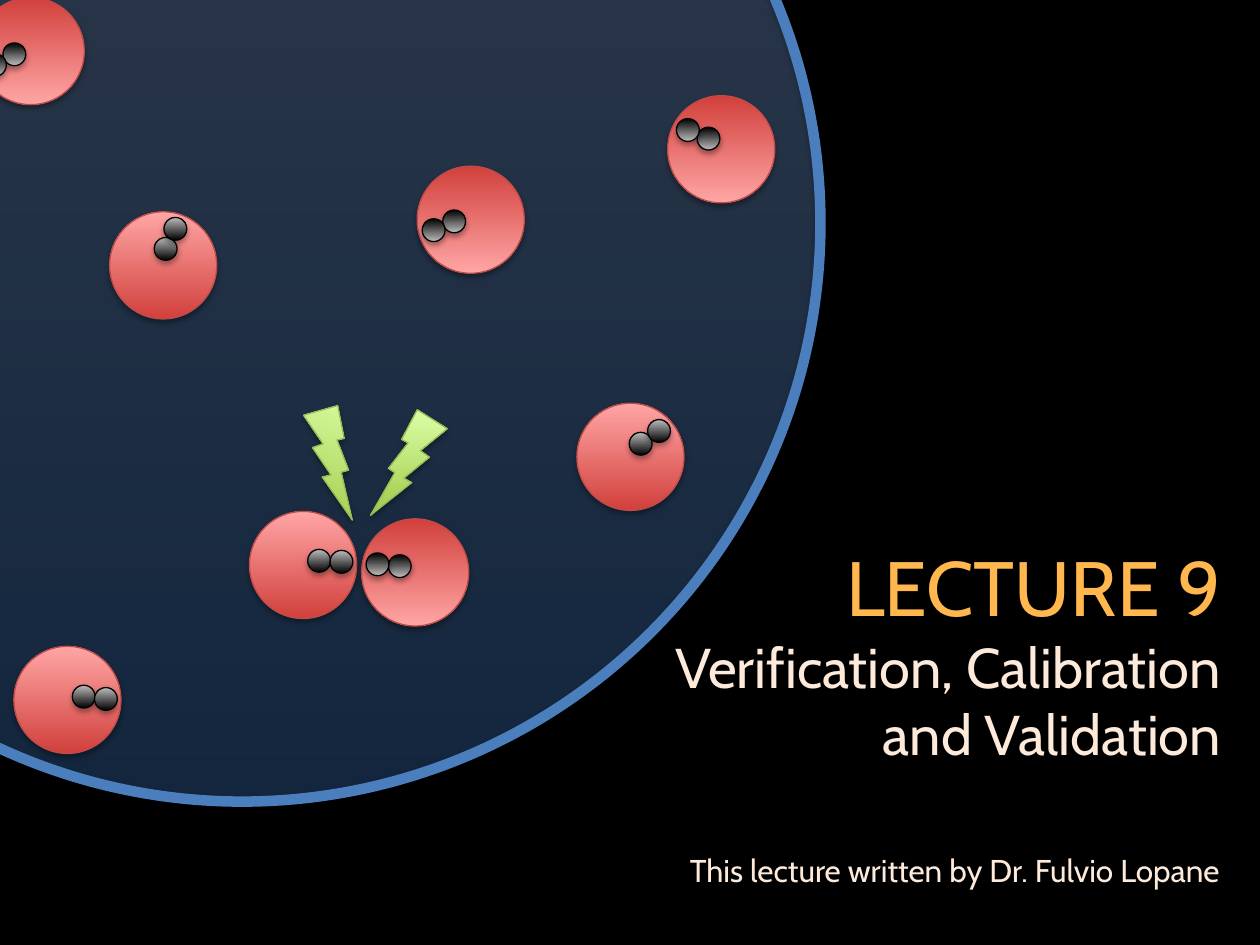
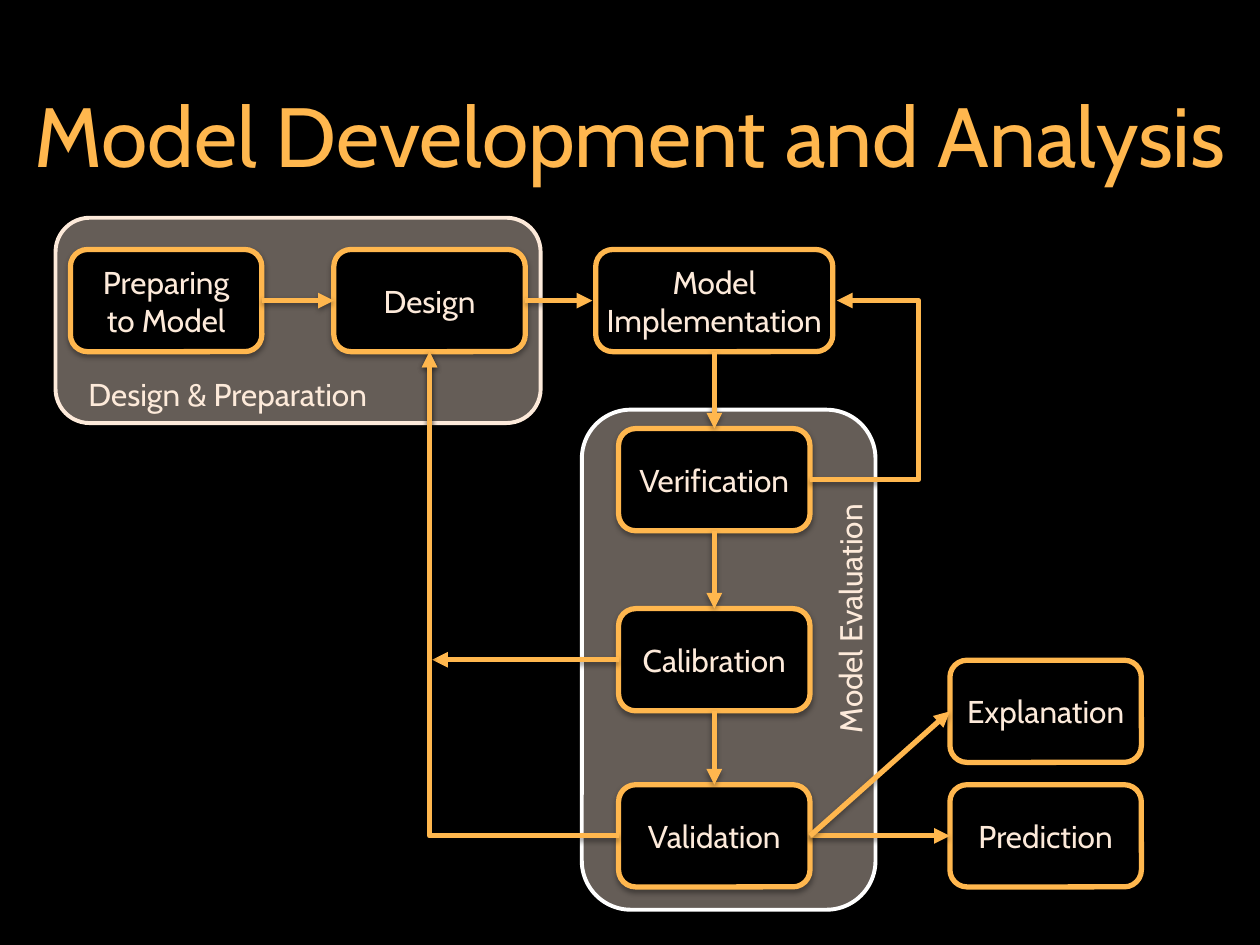
import dataclasses
import math
import typing

import lxml.etree
import pptx
import pptx.dml.color
import pptx.enum.shapes
import pptx.enum.text
import pptx.oxml.ns
import pptx.util

Cm = pptx.util.Cm
Pt = pptx.util.Pt
qn = pptx.oxml.ns.qn
KIND = pptx.enum.shapes.MSO_SHAPE
WIRE = pptx.enum.shapes.MSO_CONNECTOR
ALIGN = pptx.enum.text.PP_ALIGN
MIDDLE = pptx.enum.text.MSO_ANCHOR.MIDDLE

FONT = "Cabin"
BLACK, WHITE, GOLD, CREAM = "000000", "FFFFFF", "FFB74E", "FDEADA"
BLUE = "4B7EBC"
TOP, LEFT, BOTTOM, RIGHT = range(4)
UP, DOWN = 90, 270
WIDE, HIGH = 25.4, 19.05
CELL, DOT = 2.16, 0.46
DOTS = ((0.32, -0.1), (0.77, -0.1))  # from the centre of an unturned cell

Spot = tuple[float, float]
Area = tuple[float, float, float, float]


@dataclasses.dataclass
class Paint:
    stops: tuple[str, ...]
    line: str
    width: float = 0.75
    alpha: int = 100


@dataclasses.dataclass
class Cell:
    left: float
    top: float
    turn: float
    flip: bool = False


@dataclasses.dataclass
class Box:
    name: str
    left: float
    top: float
    width: float = 3.86
    pad: float = 0


@dataclasses.dataclass
class Link:
    """Each end is a point, or a box name with one of its sides."""
    start: tuple
    end: tuple


@dataclasses.dataclass
class Run:
    text: str
    size: float = 18
    color: str = CREAM


DISH = Paint(("3F80CE", "A4C4FF"), BLUE, alpha=29)
RING = Paint((), BLUE, 6)
FLESH = Paint(("D1403C", "FFA6A5"), "BF4C48")
GREY = Paint((BLACK, "BDBDBD"), BLACK)
SPARK = Paint(("A0CA4A", "DAFFA5"), "98B955")
NODE = Paint((BLACK,), GOLD, 3)

CELLS = (
    Cell(-0.46, -0.05, 331.3, True),
    Cell(8.41, 3.35, 336.8, True),
    Cell(5.03, 10.31, 2.7),
    Cell(2.21, 4.27, 295.9),
    Cell(0.28, 13.03, 6),
    Cell(11.63, 8.13, 325.3),
    Cell(13.46, 1.93, 22.6, True),
    Cell(7.29, 10.46, 4.7, True),
)
BOXES = (
    Box("Preparing to Model", 1.42, 5.03, pad=0.4),
    Box("Design", 6.73, 5.03),
    Box("Model Implementation", 12.01, 5.03, 4.78),
    Box("Verification", 12.47, 8.64),
    Box("Calibration", 12.47, 12.27),
    Box("Validation", 12.47, 15.82),
    Box("Prediction", 19.15, 15.82),
    Box("Explanation", 19.15, 13.31),
)
LINKS = (
    Link(("Preparing to Model", RIGHT), ("Design", LEFT)),
    Link(("Design", RIGHT), (11.94, 6.06)),
    Link(("Model Implementation", BOTTOM), ("Verification", TOP)),
    Link(("Verification", BOTTOM), ("Calibration", TOP)),
    Link(("Calibration", BOTTOM), ("Validation", TOP)),
    Link(("Calibration", LEFT), (8.71, 13.3)),
    Link(("Validation", RIGHT), ("Prediction", LEFT)),
    Link(("Validation", RIGHT), ("Explanation", LEFT)),
    Link((8.66, 13.3), ("Design", BOTTOM)),
)


def tint(code: str) -> pptx.dml.color.RGBColor:
    return pptx.dml.color.RGBColor.from_string(code)


def child(node: typing.Any, tag: str, **attrs: typing.Any) -> typing.Any:
    pairs = {key: str(value) for key, value in attrs.items()}
    return lxml.etree.SubElement(node, qn(tag), pairs)


def shade(item: typing.Any, far: int, alpha: int) -> None:
    """Add a soft drop shadow; call once fill and line are set."""
    glow = child(child(item._element.spPr, "a:effectLst"), "a:outerShdw",
                 blurRad=40000, dist=far, dir=5400000, rotWithShape=0)
    child(child(glow, "a:srgbClr", val=BLACK), "a:alpha", val=alpha * 1000)


def draw(slide: typing.Any, kind: typing.Any, area: Area, paint: Paint,
         angle: int = UP) -> typing.Any:
    shape = slide.shapes.add_shape(kind, *map(Cm, area))
    fill = shape.fill
    if not paint.stops:
        fill.background()
    elif len(paint.stops) == 1:
        fill.solid()
        fill.fore_color.rgb = tint(paint.stops[0])
    else:
        fill.gradient()
        fill.gradient_angle = angle
        for stop, code in zip(fill.gradient_stops, paint.stops):
            stop.color.rgb = tint(code)
    if paint.alpha < 100:
        for color in shape._element.spPr.iter(qn("a:srgbClr")):
            child(color, "a:alpha", val=paint.alpha * 1000)
    shape.line.color.rgb = tint(paint.line)
    shape.line.width = Pt(paint.width)
    shade(shape, 23000, 35)
    return shape


def write(shape: typing.Any, lines: typing.Sequence[Run],
          align: typing.Any = ALIGN.CENTER) -> None:
    frame = shape.text_frame
    frame.word_wrap = True
    frame.vertical_anchor = MIDDLE
    para = frame.paragraphs[0]
    para.alignment = align
    for spot, line in enumerate(lines):
        if spot:
            para.add_line_break()
        run = para.add_run()
        run.text = line.text
        run.font.name = FONT
        run.font.size = Pt(line.size)
        run.font.color.rgb = tint(line.color)


def label(slide: typing.Any, area: Area, *lines: Run,
          align: typing.Any = ALIGN.CENTER) -> typing.Any:
    shape = slide.shapes.add_textbox(*map(Cm, area))
    write(shape, lines, align)
    return shape


def wire(slide: typing.Any, kind: typing.Any, start: Spot, end: Spot) -> typing.Any:
    line = slide.shapes.add_connector(kind, *map(Cm, start + end))
    line.line.color.rgb = tint(GOLD)
    line.line.width = Pt(3)
    child(line.line._get_or_add_ln(), "a:tailEnd", type="triangle")
    shade(line, 20000, 38)
    return line


def join(slide: typing.Any, link: Link, nodes: dict[str, typing.Any]) -> None:
    held = [isinstance(end[0], str) for end in (link.start, link.end)]
    start, end = ((0, 0) if fixed else spot
                  for fixed, spot in zip(held, (link.start, link.end)))
    line = wire(slide, WIRE.STRAIGHT, start, end)
    if held[0]:
        line.begin_connect(nodes[link.start[0]], link.start[1])
    if held[1]:
        line.end_connect(nodes[link.end[0]], link.end[1])


def draw_cell(slide: typing.Any, cell: Cell) -> None:
    angle = DOWN if cell.flip else UP
    draw(slide, KIND.OVAL, (cell.left, cell.top, CELL, CELL), FLESH, angle)
    turn = math.radians(cell.turn)
    for x, y in DOTS:
        x = -x if cell.flip else x
        left = cell.left + (CELL - DOT) / 2 + x * math.cos(turn) - y * math.sin(turn)
        top = cell.top + (CELL - DOT) / 2 + x * math.sin(turn) + y * math.cos(turn)
        draw(slide, KIND.OVAL, (left, top, DOT, DOT), GREY, angle)


def add_slide(deck: typing.Any) -> typing.Any:
    slide = deck.slides.add_slide(deck.slide_layouts[6])
    slide.background.fill.solid()
    slide.background.fill.fore_color.rgb = tint(BLACK)
    return slide


def build_cover(deck: typing.Any) -> None:
    slide = add_slide(deck)
    label(slide, (0, 10.44, 24.87, 5.46), Run("LECTURE 9", 44, GOLD),
          Run("Verification, Calibration", 32), Run("and Validation", 32),
          align=ALIGN.RIGHT)
    for paint in (DISH, RING):
        draw(slide, KIND.OVAL, (-6.78, -7.16, 23.32, 23.32), paint)
    for cell in CELLS:
        draw_cell(slide, cell)
    bolt = draw(slide, KIND.LIGHTNING_BOLT, (5.89, 8.18, 1.55, 2.13), SPARK)
    bolt.rotation = 16.6
    bolt = draw(slide, KIND.LIGHTNING_BOLT, (7.47, 8.26, 1.55, 2.13), SPARK)
    bolt._element.spPr.find(qn("a:xfrm")).set("flipH", "1")
    label(slide, (0, 16.03, 24.84, 3.02),
          Run("This lecture written by Dr. Fulvio Lopane"), align=ALIGN.RIGHT)


def build_flow(deck: typing.Any) -> None:
    slide = add_slide(deck)
    for area, edge in (((11.73, 8.26, 5.92, 10.08), WHITE),
                       ((1.12, 4.39, 9.78, 4.14), CREAM)):
        draw(slide, KIND.ROUNDED_RECTANGLE, area, Paint((CREAM,), edge, 2.25, 40))
    label(slide, (0, 0, WIDE, 5.41), Run("Model Development and Analysis", 48, GOLD))

    nodes = {}
    for box in BOXES:
        node = draw(slide, KIND.ROUNDED_RECTANGLE,
                    (box.left, box.top, box.width, 2.06), NODE)
        frame = node.text_frame
        frame.margin_left = frame.margin_right = Cm(box.pad)
        frame.margin_top = frame.margin_bottom = 0
        write(node, [Run(box.name)])
        nodes[box.name] = node
    for link in LINKS:
        join(slide, link, nodes)

    start, end, bend = (16.33, 9.67), (16.87, 6.06), 18.52
    loop = wire(slide, WIRE.ELBOW, start, end)
    reach = round((bend - start[0]) / (end[0] - start[0]) * 100000)
    guides = loop._element.spPr.find(qn("a:prstGeom")).get_or_add_avLst()
    child(guides, "a:gd", name="adj1", fmla=f"val {reach}")

    # Turned half round, this runs from Validation left and up to Design.
    back = wire(slide, WIRE.ELBOW, (8.66, 7.09), (12.47, 16.85))
    back._element.spPr.find(qn("a:prstGeom")).set("prst", "bentConnector2")
    back._element.spPr.find(qn("a:xfrm")).set("rot", "10800000")

    label(slide, (1.07, 7.44, 7.04, 1.02), Run("Design & Preparation"))
    side = label(slide, (13.61, 11.96, 7.04, 1.02), Run("Model Evaluation"))
    side.rotation = 270


def main() -> None:
    deck = pptx.Presentation()
    deck.slide_width, deck.slide_height = Cm(WIDE), Cm(HIGH)
    build_cover(deck)
    build_flow(deck)
    deck.save("out.pptx")


if __name__ == "__main__":
    main()
